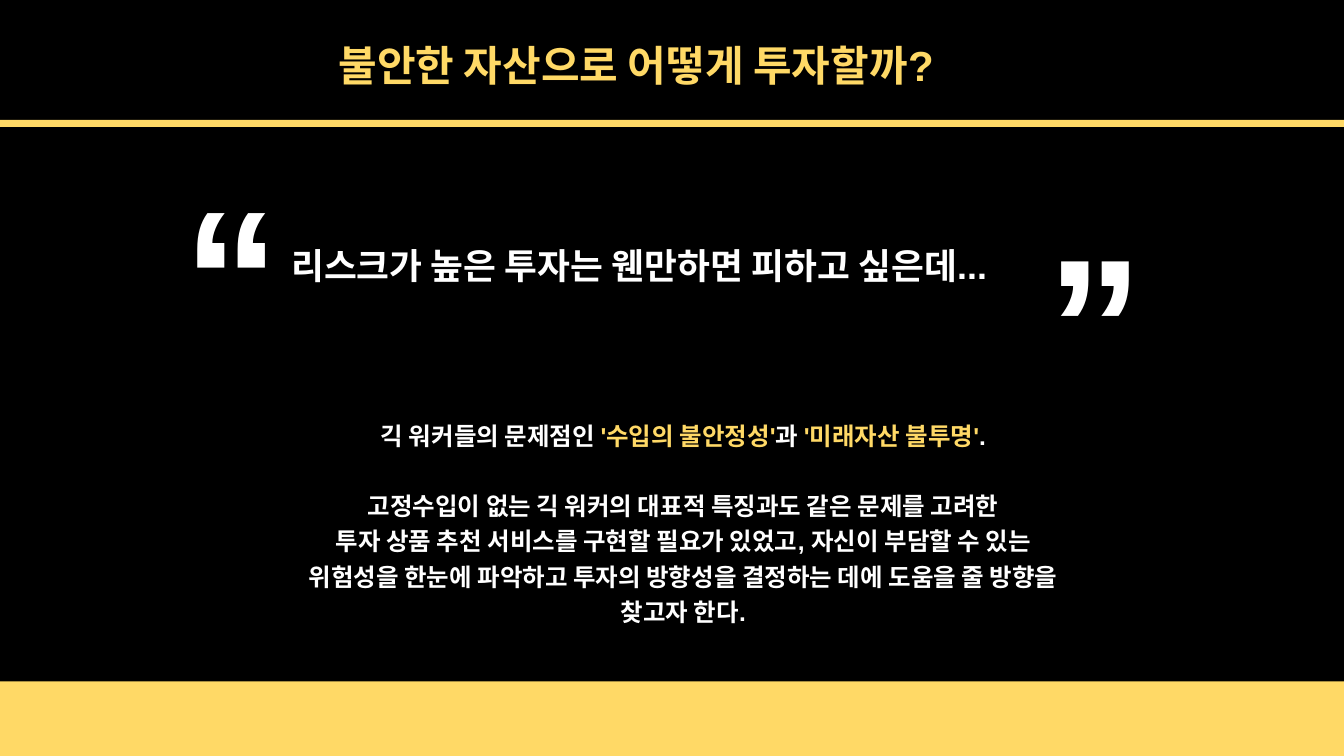
import pptx
import pptx.dml.color
import pptx.enum.shapes
import pptx.enum.text
import pptx.util

Pt = pptx.util.Pt
ALIGN = pptx.enum.text.PP_ALIGN
YELLOW, WHITE, BLACK = "FFD966", "FFFFFF", "000000"


def rgb(value):
    return pptx.dml.color.RGBColor.from_string(value)


class Deck:
    """Holds the font, the presentation and the current slide."""

    font = "Arial"

    def __init__(self, width, height):
        self.prs = pptx.Presentation()
        self.prs.slide_width, self.prs.slide_height = Pt(width), Pt(height)

    def slide(self, background):
        self.s = self.prs.slides.add_slide(self.prs.slide_layouts[6])
        fill = self.s.background.fill
        fill.solid()
        fill.fore_color.rgb = rgb(background)

    def bar(self, x, y, w, h, color):
        sp = self.s.shapes.add_shape(
            pptx.enum.shapes.MSO_SHAPE.RECTANGLE, Pt(x), Pt(y), Pt(w), Pt(h))
        sp.shadow.inherit = False
        sp.fill.solid()
        sp.fill.fore_color.rgb = rgb(color)
        sp.line.fill.background()

    def text(self, x, y, w, h, paragraphs, size, color=WHITE, align=ALIGN.LEFT,
             spacing=1.1, inset=3.6, gaps=(), rotation=0):
        sp = self.s.shapes.add_textbox(Pt(x), Pt(y), Pt(w), Pt(h))
        sp.rotation = rotation
        tf = sp.text_frame
        tf.word_wrap = True
        tf.auto_size = pptx.enum.text.MSO_AUTO_SIZE.SHAPE_TO_FIT_TEXT
        tf.margin_left = tf.margin_right = Pt(7.2)
        tf.margin_top = tf.margin_bottom = Pt(inset)
        for i, runs in enumerate(paragraphs):
            p = tf.add_paragraph() if i else tf.paragraphs[0]
            p.alignment, p.line_spacing = align, spacing
            if i in gaps:
                p.space_before = Pt(gaps[i])
            p.font.name, p.font.size, p.font.bold = self.font, Pt(size), True
            if isinstance(runs, str):
                runs = [(runs, color)]
            for words, run_color in runs:
                r = p.add_run()
                r.text = words
                r.font.color.rgb = rgb(run_color)

    def save(self):
        self.prs.save("out.pptx")


def main():
    deck = Deck(960, 540)
    deck.slide(BLACK)
    deck.text(234.7, 20.9, 491, 43.9, ["불안한 자산으로 어떻게 투자할까?"], 30, YELLOW)
    deck.text(200.9, 167.8, 558.7, 38.2,
              ["리스크가 높은 투자는 웬만하면 피하고 싶은데..."], 25.5)
    deck.bar(0, 486.7, 960, 53.3, YELLOW)
    deck.bar(0, 85.7, 960, 5, YELLOW)
    for x, y, w, rotation in ((123.8, 85.7, 85, 0), (722.2, 111.6, 101.5, 180)):
        deck.text(x, y, w, 181.4, ["“"], 138, inset=7.2, rotation=rotation)
    deck.text(208.8, 293, 558.7, 193, [
        [("긱 워커들의 문제점인", WHITE), (" '수입의 불안정성'", YELLOW),
         ("과", WHITE), (" '미래자산 불투명'", YELLOW), (".", WHITE)],
        "고정수입이 없는 긱 워커의 대표적 특징과도 같은 문제를 고려한",
        "투자 상품 추천 서비스를 구현할 필요가 있었고, 자신이 부담할 수 있는 "
        "위험성을 한눈에 파악하고 투자의 방향성을 결정하는 데에 도움을 줄 방향을 "
        "찾고자 한다.",
    ], 17.5, align=ALIGN.CENTER, spacing=1.2, gaps={1: 25})
    deck.save()


if __name__ == "__main__":
    main()
